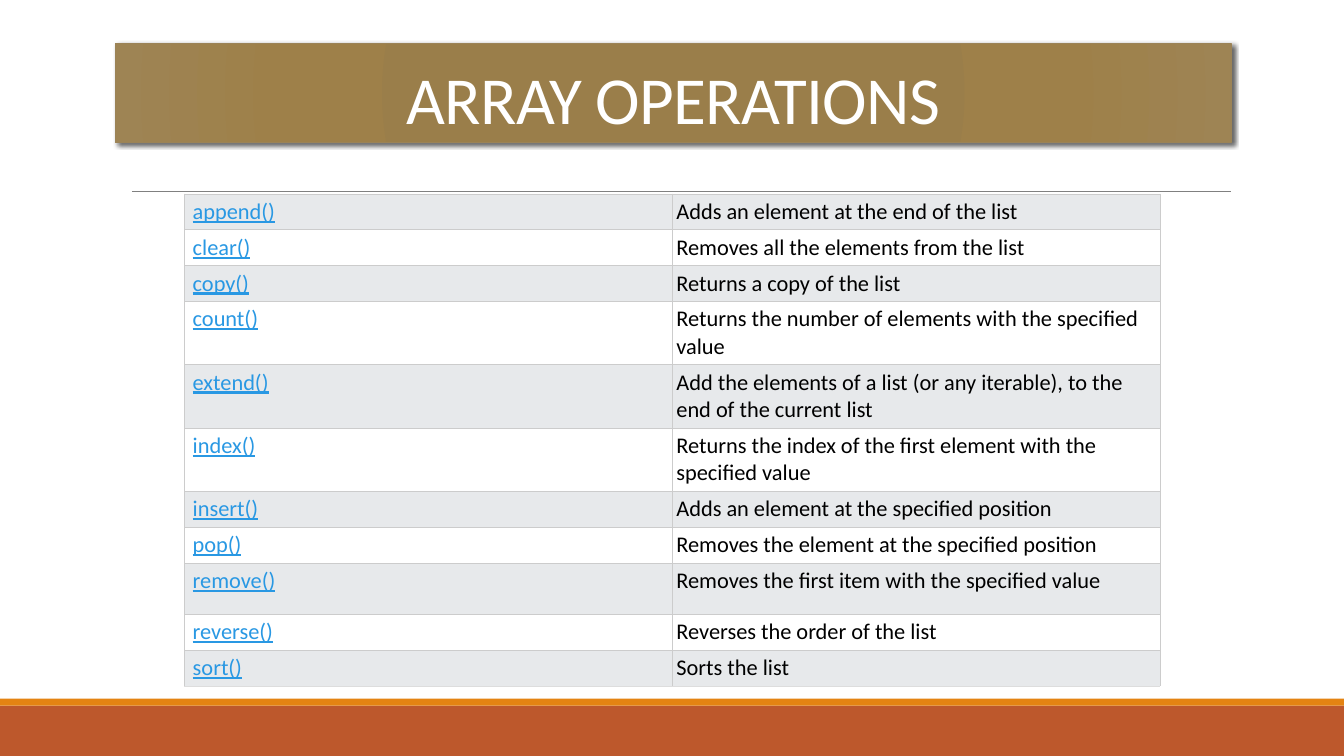
from lxml import etree
from pptx import Presentation
from pptx import util as u
from pptx.dml.color import RGBColor
from pptx.enum import shapes, text
from pptx.oxml import ns

Pt = u.Pt
WHITE = RGBColor(0xFF, 0xFF, 0xFF)
BLACK = RGBColor(0, 0, 0)
RUST = RGBColor(0xBD, 0x58, 0x2C)
ORANGE = RGBColor(0xE4, 0x83, 0x12)
GREY = RGBColor(0x80, 0x80, 0x80)
BRONZE = RGBColor(0x9B, 0x83, 0x57)
LINK_BLUE = RGBColor(0x29, 0x98, 0xE3)
BAND = RGBColor(0xE7, 0xE9, 0xEB)
BORDER = RGBColor(0xCC, 0xCC, 0xCC)
LAST_BORDER = RGBColor(0xDD, 0xDD, 0xDD)
TITLE_STOPS = [(0, "9A7D48"), (34, "9A7E4A"), (70, "9E8049"), (100, "9E8454")]

SINGLE, TALL, DOUBLE = 25.6, 36.7, 45.2  # row heights
OPERATIONS = [
    ("append()", "Adds an element at the end of the list", SINGLE),
    ("clear()", "Removes all the elements from the list", SINGLE),
    ("copy()", "Returns a copy of the list", SINGLE),
    ("count()", "Returns the number of elements with the specified value", DOUBLE),
    ("extend()", "Add the elements of a list (or any iterable), to the end of the current list", DOUBLE),
    ("index()", "Returns the index of the first element with the specified value", DOUBLE),
    ("insert()", "Adds an element at the specified position", SINGLE),
    ("pop()", "Removes the element at the specified position", SINGLE),
    ("remove()", "Removes the first item with the specified value", TALL),
    ("reverse()", "Reverses the order of the list", SINGLE),
    ("sort()", "Sorts the list", SINGLE),
]


def add_xml(parent, tag, **attributes):
    return etree.SubElement(parent, ns.qn(tag), attributes)


class SlideBuilder:
    font = "Calibri"

    def __init__(self, slide):
        self.slide = slide

    def style(self, paragraph, size, color, underline=None):
        paragraph.font.name = self.font
        paragraph.font.size = Pt(size)
        paragraph.font.color.rgb = color
        paragraph.font.underline = underline

    def bar(self, left, top, width, height, color):
        shape = self.slide.shapes.add_shape(
            shapes.MSO_SHAPE.RECTANGLE, Pt(left), Pt(top), Pt(width), Pt(height))
        shape.shadow.inherit = False
        shape.fill.solid()
        shape.fill.fore_color.rgb = color
        shape.line.fill.background()

    def rule(self, left, right, y, color, width):
        line = self.slide.shapes.add_connector(
            shapes.MSO_CONNECTOR.STRAIGHT, Pt(left), Pt(y), Pt(right), Pt(y))
        line.line.color.rgb = color
        line.line.width = Pt(width)
        add_xml(line._element.spPr, "a:effectLst")

    def title(self, words, left, top, width, height):
        shape = self.slide.shapes.title
        shape.left, shape.top, shape.width, shape.height = map(Pt, (left, top, width, height))
        frame = shape.text_frame
        frame.text = words
        frame.auto_size = text.MSO_AUTO_SIZE.NONE
        frame.vertical_anchor = text.MSO_ANCHOR.BOTTOM
        paragraph = frame.paragraphs[0]
        paragraph.alignment = text.PP_ALIGN.CENTER
        paragraph.line_spacing = 0.85
        self.style(paragraph, 48, WHITE)
        paragraph.runs[0]._r.get_or_add_rPr().set("spc", "-50")
        shape.line.color.rgb = BRONZE
        shape.line.width = Pt(1)

        # Radial gradient
        shape.fill.gradient()
        properties = shape._element.spPr
        gradient = properties.find(ns.qn("a:gradFill"))
        for child in list(gradient):
            gradient.remove(child)
        stops = add_xml(gradient, "a:gsLst")
        for position, color in TITLE_STOPS:
            stop = add_xml(stops, "a:gs", pos=str(position * 1000))
            add_xml(stop, "a:srgbClr", val=color)
        circle = add_xml(gradient, "a:path", path="circle")
        add_xml(circle, "a:fillToRect", **dict.fromkeys("ltrb", "100000"))

        # Soft shadow
        effects = add_xml(properties, "a:effectLst")
        shadow = add_xml(effects, "a:outerShdw", blurRad=str(Pt(3)), dist=str(Pt(2)),
                         dir="2700000", algn="tl", rotWithShape="0")
        add_xml(add_xml(shadow, "a:srgbClr", val="000000"), "a:alpha", val="60000")

    def cell(self, cell, words, fill, color, underline, left_margin, bottom_border):
        cell.margin_left = Pt(left_margin)
        cell.margin_top = cell.margin_right = cell.margin_bottom = Pt(3)
        borders = {"L": BORDER, "R": BORDER, "T": BORDER, "B": bottom_border}
        for side, border in borders.items():
            line = add_xml(cell._tc.get_or_add_tcPr(), f"a:ln{side}", w=str(Pt(0.6)))
            add_xml(add_xml(line, "a:solidFill"), "a:srgbClr", val=str(border))
        cell.fill.solid()
        cell.fill.fore_color.rgb = fill
        cell.text = words
        self.style(cell.text_frame.paragraphs[0], 16, color, underline)

    def table(self, rows, left, top, width):
        height = sum(row[2] for row in rows)
        table = self.slide.shapes.add_table(
            len(rows), 2, Pt(left), Pt(top), Pt(width), Pt(height)).table
        table.first_row = table.horz_banding = False
        for index, (name, meaning, row_height) in enumerate(rows):
            table.rows[index].height = Pt(row_height)
            fill = WHITE if index % 2 else BAND
            bottom = LAST_BORDER if index == len(rows) - 1 else BORDER
            self.cell(table.cell(index, 0), name, fill, LINK_BLUE, True, 6, bottom)
            self.cell(table.cell(index, 1), meaning, fill, BLACK, False, 3, bottom)


def main():
    presentation = Presentation()
    presentation.slide_width, presentation.slide_height = Pt(960), Pt(540)
    builder = SlideBuilder(presentation.slides.add_slide(presentation.slide_layouts[5]))

    # Footer bands and rule
    builder.bar(0, 504, 960, 36, RUST)
    builder.bar(0, 499, 960, 5, ORANGE)
    builder.rule(94.3, 879, 136.6, GREY, 0.5)

    # Title and operations
    builder.title("ARRAY OPERATIONS", 82.4, 31, 797, 71)
    builder.table(OPERATIONS, 131.7, 138.5, 697)
    presentation.save("out.pptx")


if __name__ == "__main__":
    main()
